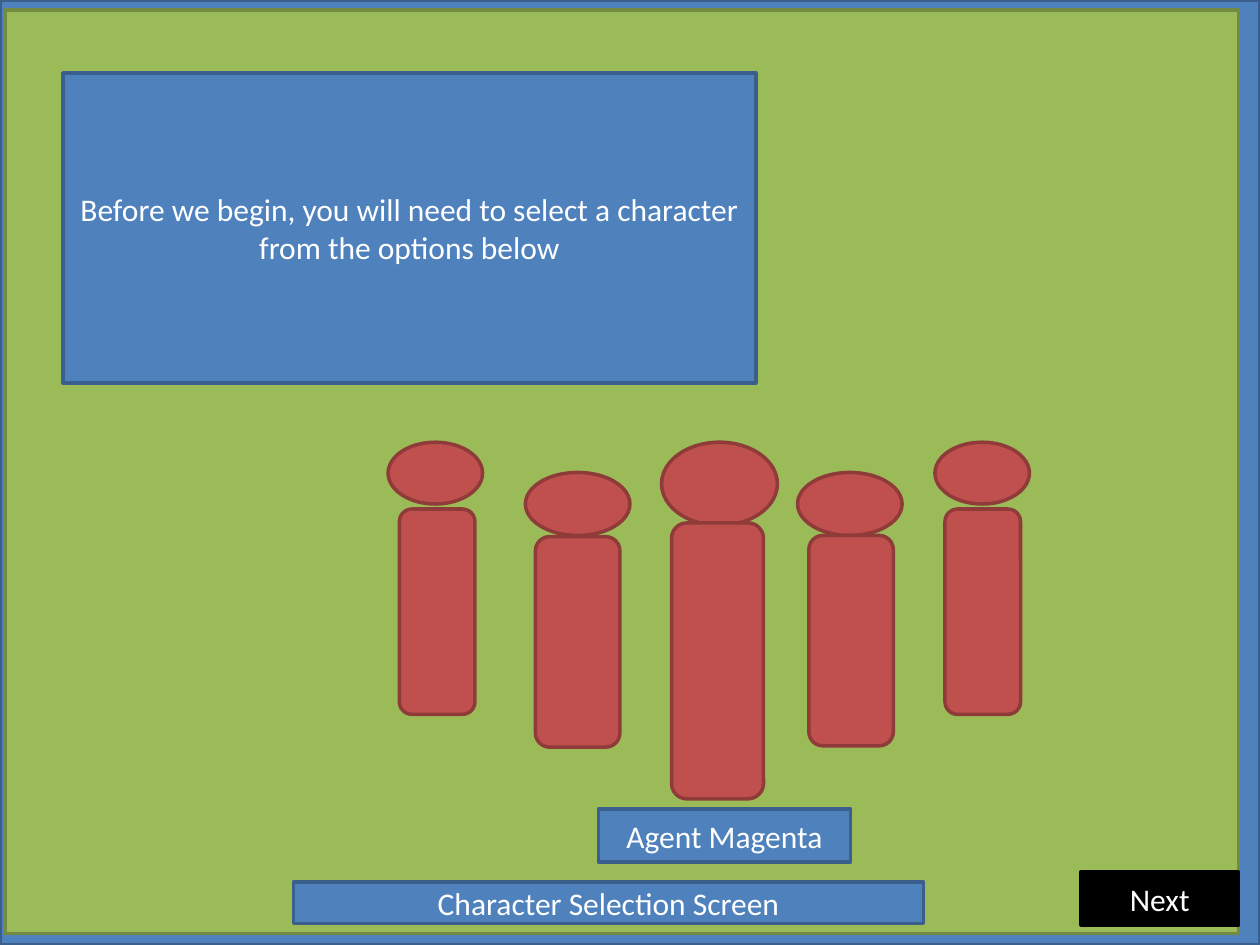
from pptx import Presentation
from pptx.dml.color import RGBColor
from pptx.enum.shapes import MSO_SHAPE
from pptx.enum.text import MSO_ANCHOR, PP_ALIGN
from pptx.util import Inches, Pt

# Theme: (fill, line) pairs, type and line width
THEME = {
    "blue": ("4F81BD", "3A5F8C"),
    "green": ("9BBB59", "738A42"),
    "red": ("C0504D", "8E3B39"),
    "black": ("000000", "000000"),
    "font": {"name": "Calibri", "size": Pt(18)},
    "text": "FFFFFF",
    "line_width": Pt(2),
}

presentation = Presentation()
presentation.slide_width = Inches(10)
presentation.slide_height = Inches(7.5)
slide = presentation.slides.add_slide(presentation.slide_layouts[6])


def add_box(kind, place, colors, text=""):
    shape = slide.shapes.add_shape(kind, *[Inches(length) for length in place])
    shape.shadow.inherit = False
    fill_color, line_color = THEME[colors]
    shape.fill.solid()
    shape.fill.fore_color.rgb = RGBColor.from_string(fill_color)
    shape.line.color.rgb = RGBColor.from_string(line_color)
    shape.line.width = THEME["line_width"]
    if text:
        frame = shape.text_frame
        frame.word_wrap = True
        frame.vertical_anchor = MSO_ANCHOR.MIDDLE
        paragraph = frame.paragraphs[0]
        paragraph.text = text
        paragraph.alignment = PP_ALIGN.CENTER
        for attribute, value in THEME["font"].items():
            setattr(paragraph.font, attribute, value)
        paragraph.font.color.rgb = RGBColor.from_string(THEME["text"])


# Background frame and field, instruction, button and screen name
panels = [
    ((0, 0, 10, 7.5), "blue"),
    ((0.04, 0.08, 9.79, 7.33), "green"),
    ((0.5, 0.58, 5.5, 2.46), "blue",
     "Before we begin, you will need to select a character from the options below"),
    ((8.58, 6.92, 1.25, 0.42), "black", "Next"),
    ((2.33, 7, 5, 0.33), "blue", "Character Selection Screen"),
]
for panel in panels:
    add_box(MSO_SHAPE.RECTANGLE, *panel)

# Characters: head size, body size, and each figure's head and body corners
front = ((0.92, 0.66), (0.73, 2.19))
middle = ((0.83, 0.5), (0.67, 1.67))
back = ((0.75, 0.49), (0.6, 1.63))
characters = [
    (front, (5.25, 3.51), (5.33, 4.15)),
    (middle, (6.33, 3.75), (6.42, 4.25)),
    (back, (7.42, 3.51), (7.5, 4.04)),
    (middle, (4.17, 3.75), (4.25, 4.26)),
    (back, (3.08, 3.51), (3.17, 4.04)),
]
for (head_size, body_size), head, body in characters:
    add_box(MSO_SHAPE.OVAL, head + head_size, "red")
    add_box(MSO_SHAPE.ROUNDED_RECTANGLE, body + body_size, "red")

# Name of the selected character
add_box(MSO_SHAPE.RECTANGLE, (4.75, 6.42, 2, 0.42), "blue", "Agent Magenta")

presentation.save("out.pptx")
